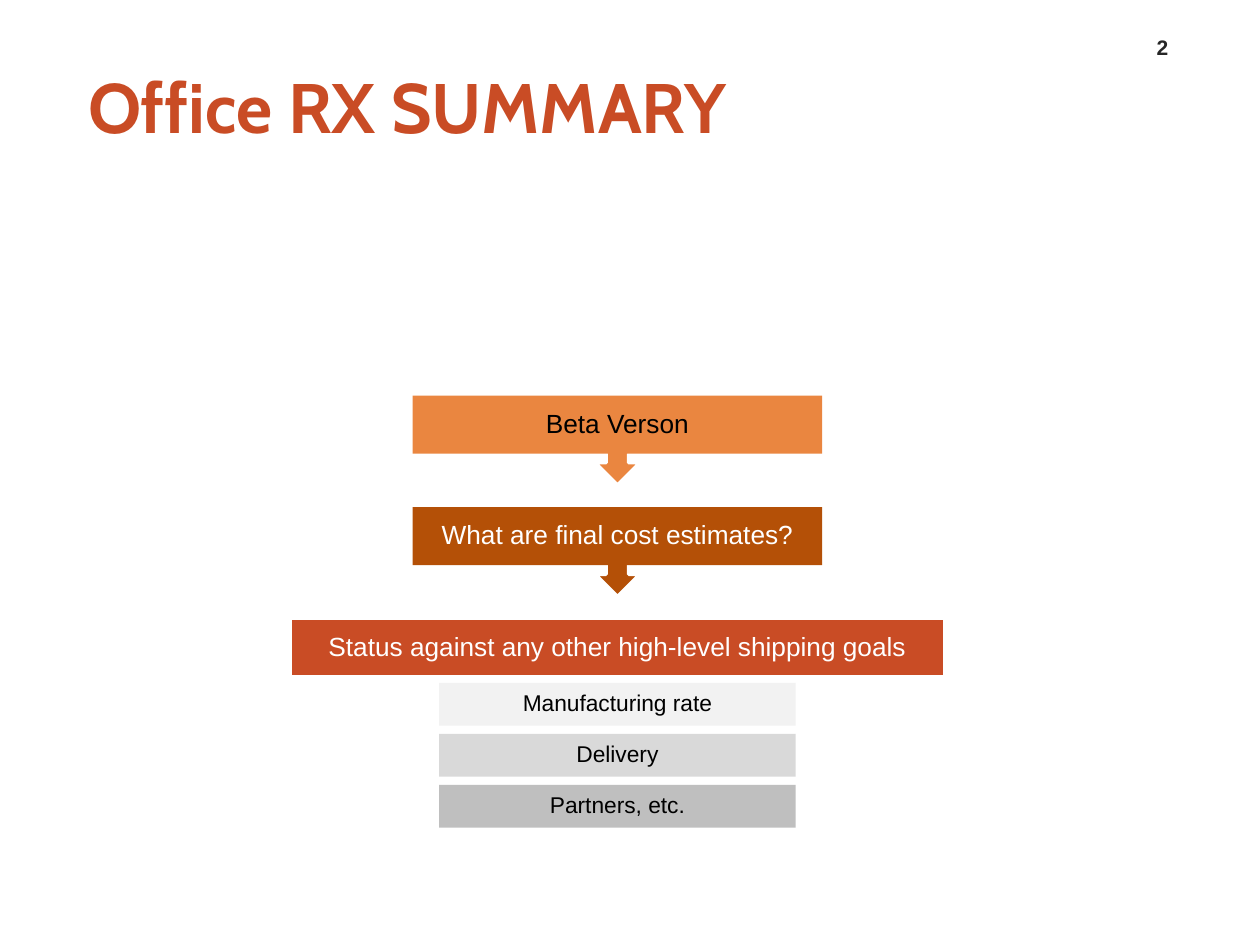
import pptx
import pptx.dml.color
import pptx.enum.shapes
import pptx.enum.text
import pptx.util

RGBColor = pptx.dml.color.RGBColor
SHAPES = pptx.enum.shapes.MSO_SHAPE
ALIGN = pptx.enum.text.PP_ALIGN
ANCHOR = pptx.enum.text.MSO_ANCHOR
Inches = pptx.util.Inches
Pt = pptx.util.Pt

RUST = RGBColor(0xC9, 0x4C, 0x25)
ORANGE = RGBColor(0xEA, 0x86, 0x40)
BROWN = RGBColor(0xB4, 0x50, 0x07)
GRAYS = [RGBColor(level, level, level) for level in (0xF2, 0xD9, 0xBF)]
CHARCOAL = RGBColor(0x26, 0x26, 0x26)
BLACK = RGBColor(0, 0, 0)
WHITE = RGBColor(0xFF, 0xFF, 0xFF)

CENTER_X = 4.9
STEP_TOP, STEP_PITCH = 3.14, 0.885
STEP_WIDTH, STEP_HEIGHT, CALLOUT_HEIGHT = 3.25, 0.46, 0.71
GOAL_WIDTH = 5.2
DETAIL_TOP, DETAIL_PITCH = 5.42, 0.405
DETAIL_WIDTH, DETAIL_HEIGHT = 2.83, 0.34


def place(shape, left, top, width, height):
    shape.left, shape.top = Inches(left), Inches(top)
    shape.width, shape.height = Inches(width), Inches(height)


def write(shape, text, size, color, font="Arial", bold=False,
          align=ALIGN.CENTER, anchor=ANCHOR.MIDDLE):
    frame = shape.text_frame
    frame.word_wrap = True
    frame.auto_size = pptx.enum.text.MSO_AUTO_SIZE.NONE
    frame.vertical_anchor = anchor
    frame.text = text
    paragraph = frame.paragraphs[0]
    paragraph.alignment = align
    paragraph.font.name = font
    paragraph.font.size = Pt(size)
    paragraph.font.bold = bold
    paragraph.font.color.rgb = color


def add_block(slide, preset, top, width, height, fill, outlined=False):
    """Add a filled shape centred on the flow's axis."""
    block = slide.shapes.add_shape(
        preset, Inches(CENTER_X - width / 2), Inches(top),
        Inches(width), Inches(height))
    block.shadow.inherit = False
    block.fill.solid()
    block.fill.fore_color.rgb = fill
    if outlined:
        block.line.color.rgb = WHITE
        block.line.width = Pt(2)
    else:
        block.line.fill.background()
    return block


def label(block, text, size, color, inset):
    write(block, text, size, color)
    frame = block.text_frame
    frame.margin_left = frame.margin_right = Inches(inset)
    frame.margin_top = frame.margin_bottom = Inches(inset)
    frame.paragraphs[0].line_spacing = 0.9


def add_step(slide, row, text, fill, color):
    """Add a bar with an arrow leading down to the next row."""
    top = STEP_TOP + row * STEP_PITCH
    add_block(slide, SHAPES.DOWN_ARROW_CALLOUT, top, STEP_WIDTH,
              CALLOUT_HEIGHT, fill, outlined=True)
    bar = add_block(slide, SHAPES.RECTANGLE, top, STEP_WIDTH, STEP_HEIGHT, fill)
    label(bar, text, 15, color, 0.12)


def add_goal(slide, row, text):
    bar = add_block(slide, SHAPES.RECTANGLE, STEP_TOP + row * STEP_PITCH,
                    GOAL_WIDTH, STEP_HEIGHT, RUST, outlined=True)
    label(bar, text, 15, WHITE, 0.12)


def add_detail(slide, row, text, fill):
    bar = add_block(slide, SHAPES.RECTANGLE, DETAIL_TOP + row * DETAIL_PITCH,
                    DETAIL_WIDTH, DETAIL_HEIGHT, fill)
    label(bar, text, 13, BLACK, 0.1)


def set_title(slide, text):
    title = slide.shapes.title
    place(title, 0.5, 0.4, 5.33, 0.87)
    write(title, text, 40, RUST, font="Cabin", bold=True, align=ALIGN.LEFT)
    title.text_frame.margin_left = Inches(0.2)
    title.text_frame.margin_right = 0


def add_page_number(slide, number):
    box = slide.shapes.add_textbox(
        Inches(8.95), Inches(0.19), Inches(0.55), Inches(0.33))
    write(box, number, 12, CHARCOAL, bold=True, anchor=ANCHOR.BOTTOM)


def main():
    deck = pptx.Presentation()
    deck.slide_width, deck.slide_height = Inches(10), Inches(7.5)
    slide = deck.slides.add_slide(deck.slide_layouts.get_by_name("Title Only"))

    set_title(slide, "Office RX SUMMARY")
    add_page_number(slide, "2")
    add_step(slide, 0, "Beta Verson", ORANGE, BLACK)
    add_step(slide, 1, "What are final cost estimates?", BROWN, WHITE)
    add_goal(slide, 2, "Status against any other high-level shipping goals")
    details = ["Manufacturing rate", "Delivery", "Partners, etc."]
    for row, (text, gray) in enumerate(zip(details, GRAYS)):
        add_detail(slide, row, text, gray)

    deck.save("out.pptx")


if __name__ == "__main__":
    main()
